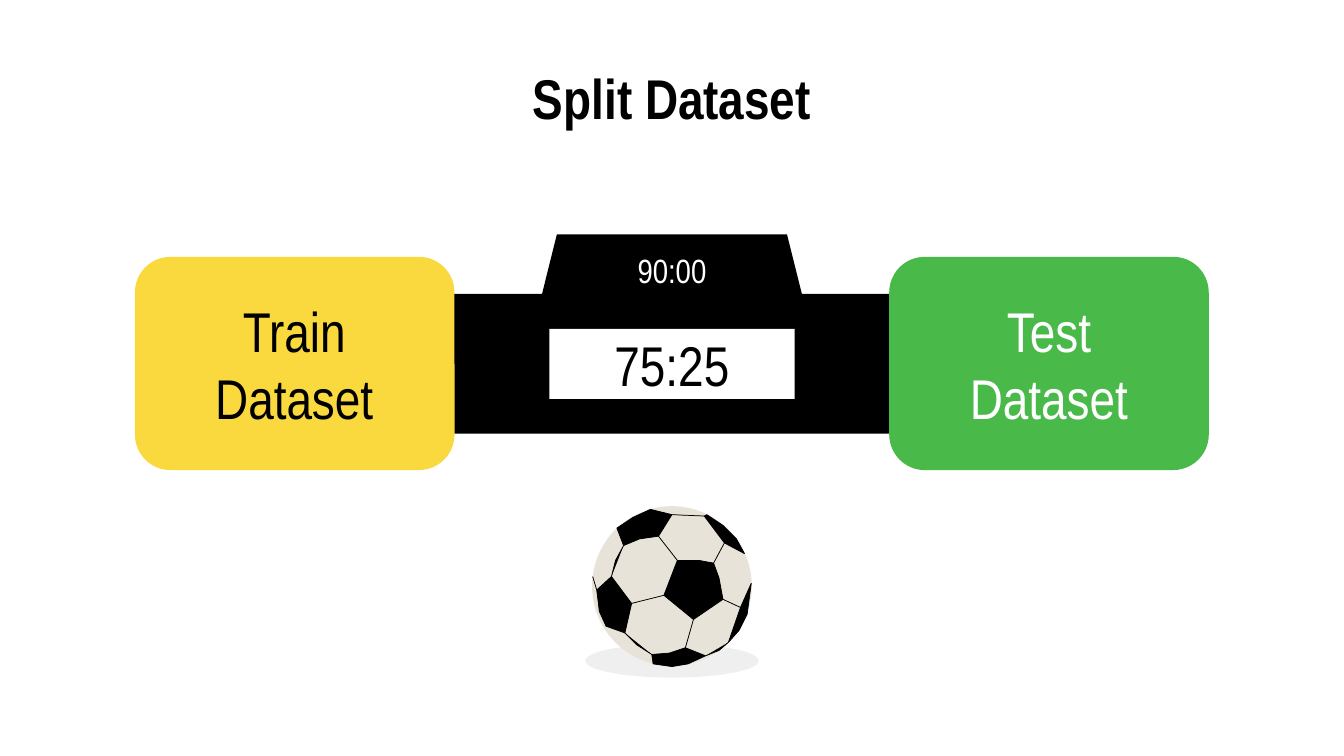
from pptx import Presentation
from pptx import util as u
from pptx.dml.color import RGBColor
from pptx.enum import shapes, text

Pt = u.Pt
Kind = shapes.MSO_SHAPE
BLACK, WHITE = "000000", "FFFFFF"
YELLOW, GREEN = "F9D93D", "49BA49"
LEATHER, SHADOW = "E8E3D9", "EFEFEF"


def add_block(parent, kind, left, top, width, height, color):
    shape = parent.add_shape(kind, Pt(left), Pt(top), Pt(width), Pt(height))
    shape.shadow.inherit = False
    shape.fill.solid()
    shape.fill.fore_color.rgb = RGBColor.from_string(color)
    shape.line.fill.background()
    return shape


def write(shape, lines, size, color, bold=False, spacing=None,
          anchor=text.MSO_ANCHOR.MIDDLE):
    frame = shape.text_frame
    frame_format = {"word_wrap": True, "auto_size": text.MSO_AUTO_SIZE.NONE,
                    "vertical_anchor": anchor}
    for side in ("left", "top", "right", "bottom"):
        frame_format["margin_" + side] = Pt(7.2)
    for name, value in frame_format.items():
        setattr(frame, name, value)
    frame.text = lines
    for paragraph in frame.paragraphs:
        paragraph.alignment = text.PP_ALIGN.CENTER
        paragraph.line_spacing = spacing
        font = paragraph.runs[0].font
        font_format = {"name": "Arial Narrow", "size": Pt(size), "bold": bold}
        for name, value in font_format.items():
            setattr(font, name, value)
        font.color.rgb = RGBColor.from_string(color)


presentation = Presentation()
presentation.slide_width, presentation.slide_height = Pt(720), Pt(405)
slide = presentation.slides.add_slide(presentation.slide_layouts[5])

# Title
title = slide.shapes.title
place = {"left": 56, "top": 42.5, "width": 608, "height": 32.5}
for name, value in place.items():
    setattr(title, name, Pt(value))
write(title, "Split Dataset", 30, BLACK, bold=True, spacing=0.5,
      anchor=text.MSO_ANCHOR.TOP)

# Scoreboard
scoreboard = slide.shapes.add_group_shape().shapes
add_block(scoreboard, Kind.RECTANGLE, 210, 157.5, 300, 74.8, BLACK)
clock = add_block(scoreboard, Kind.TRAPEZOID, 289, 125.6, 142, 37.4, BLACK)
clock.adjustments[0] = 0.25

# Dataset cards
for left, color in [(72.3, YELLOW), (476.4, GREEN)]:
    card = add_block(slide.shapes, Kind.ROUNDED_RECTANGLE,
                     left, 137.6, 171.2, 114.3, color)
    card.adjustments[0] = 0.167

# Labels
labels = [
    (294.4, 125.8, 37.5, "90:00", 18, WHITE),
    (496.4, 160.9, 67.7, "Test Dataset", 30, WHITE),
    (92.1, 160.8, 67.7, "Train\nDataset", 30, BLACK),
]
for left, top, height, words, size, color in labels:
    label = slide.shapes.add_textbox(Pt(left), Pt(top), Pt(131.2), Pt(height))
    write(label, words, size, color)

# Score
score = add_block(slide.shapes, Kind.RECTANGLE, 294.3, 176.2, 131.4, 37.5, WHITE)
write(score, "75:25", 30, BLACK)

# Football and its shadow
ball = slide.shapes.add_group_shape().shapes
add_block(ball, Kind.OVAL, 313.5, 345, 93, 18, SHADOW)
add_block(ball, Kind.OVAL, 317.2, 271.2, 85.6, 85.6, LEATHER)

# Black patches and seams as one outline, in units of 0.72 pt
patches = [
    [(504, 417), (520, 417), (531, 419), (535, 430), (538, 446), (516, 461), (494, 443)],
    [(484, 379), (500, 383), (490, 399), (476, 401), (464, 406), (459, 393), (471, 385)],
    [(455, 429), (470, 449), (465, 471), (451, 466), (446, 455), (444, 439)],
    [(485, 487), (498, 486), (510, 482), (525, 488), (512, 494), (500, 496), (486, 494)],
    [(526, 383), (538, 391), (548, 401), (554, 412), (539, 404), (524, 384)],
    [(559, 434), (551, 452), (542, 478), (550, 469), (556, 457)],
]
seams = [
    [(500, 383), (524, 384)],
    [(490, 399), (504, 417)],
    [(531, 419), (539, 404)],
    [(538, 446), (551, 452)],
    [(516, 461), (510, 482)],
    [(494, 443), (470, 449)],
    [(464, 406), (458, 417), (455, 429)],
    [(465, 471), (474, 480), (485, 487)],
    [(525, 488), (535, 484), (542, 478)],
    [(441, 429), (444, 439)],
]
pattern = ball.build_freeform(*patches[0][0], scale=Pt(0.72))
for outlines, closed in ((patches, True), (seams, False)):
    for first, *rest in outlines:
        if first != patches[0][0]:
            pattern.move_to(*first)
        pattern.add_line_segments(rest, close=closed)
markings = pattern.convert_to_shape()
markings.shadow.inherit = False
for part in (markings.fill, markings.line.fill):
    part.solid()
    part.fore_color.rgb = RGBColor.from_string(BLACK)
markings.line.width = Pt(0.4)

presentation.save("out.pptx")
